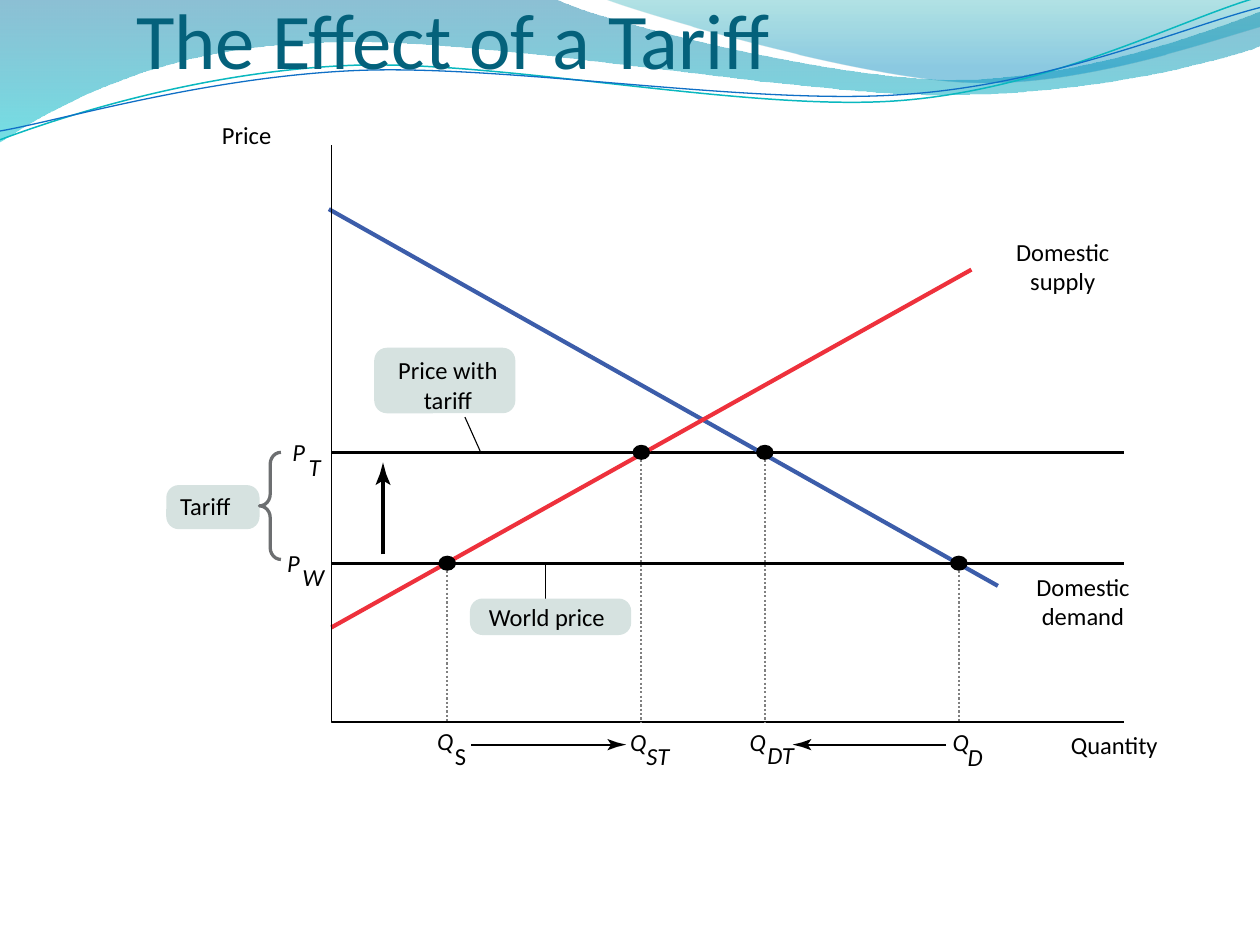
"""Builds a slide showing how a tariff changes price and quantity traded."""
import math

import pptx
import pptx.util
import pptx.dml.color
import pptx.enum.dml
import pptx.enum.shapes
import pptx.enum.text
from lxml import etree

Inches, Pt = pptx.util.Inches, pptx.util.Pt
SHAPE = pptx.enum.shapes.MSO_SHAPE
ALIGN = pptx.enum.text.PP_ALIGN
NS = "http://schemas.openxmlformats.org/drawingml/2006/main"

FONT = "Calibri"
COLORS = {"title": "04617B", "ink": "000000", "demand": "3C5DAA", "supply": "EE313C",
          "callout": "D6E2E0", "brace": "6D6F71", "guide": "808080",
          "teal wave": "0AB8BF", "blue wave": "0F6FC6", "deep blue": "0074A1",
          "cyan": "00C6CF", "teal": "00A1A9", "sky": "008BBF"}

TITLE = "The Effect of a Tariff"
BANDS = [
    ([(0, 0), (4.4, -0.01), (4.76, 0.17, 6.64, 0.63, 7.58, 0.63),
      (8.53, 0.63, 9.58, 0.26, 10, 0.09), (10.01, 0.36),
      (9.83, 0.44, 8.7, 0.76, 7.46, 0.75), (6.22, 0.75, 3.82, 0.28, 2.57, 0.34),
      (1.29, 0.36, 0.46, 0.83, -0.01, 1.13)],
     [(0, "deep blue", 45), (1, "cyan", 55)]),
    ([(4.79, -0.01), (5.09, 0.11, 6.82, 0.62, 7.69, 0.65),
      (8.56, 0.69, 9.61, 0.32, 10, 0.21), (10, 0)],
     [(0, "teal", 30), (0.8, "sky", 45)]),
]
WAVES = [
    ([(0, 1.11), (0.48, 0.93, 1.58, 0.57, 2.77, 0.52), (3.95, 0.47, 5.93, 0.89, 7.13, 0.8),
      (8.33, 0.71, 9.38, 0.15, 9.98, -0.02)], "teal wave", 0.85),
    ([(0, 1.04), (0.47, 0.96, 1.64, 0.61, 2.83, 0.56), (4.03, 0.51, 5.97, 0.84, 7.17, 0.75),
      (8.36, 0.67, 9.41, 0.21, 10, 0.06)], "blue wave", 0.75),
]

AXIS_X, AXIS_Y, AXIS_TOP, AXIS_END = 2.63, 5.73, 1.15, 8.92
TARIFF_Y, WORLD_Y = 3.59, 4.47
CURVES = [
    ((AXIS_X, TARIFF_Y), (AXIS_END, TARIFF_Y), "ink", 1.88),
    ((AXIS_X, WORLD_Y), (AXIS_END, WORLD_Y), "ink", 1.88),
    ((7.92, 4.65), (2.61, 1.66), "demand", 2.38),
    ((AXIS_X, 4.98), (7.71, 2.14), "supply", 2.38),
]
POINTS = [(7.61, WORLD_Y), (3.55, WORLD_Y), (6.07, TARIFF_Y), (5.09, TARIFF_Y)]
POINT_SIZE = (0.14, 0.12)
ARROWS = [
    ((3.74, 5.91), (4.97, 5.91), 1, 0.15, 0.09),
    ((7.51, 5.91), (6.29, 5.91), 1, 0.15, 0.09),
    ((3.04, 4.4), (3.04, 3.67), 2.38, 0.18, 0.12),
]
LEADERS = [((4.33, 4.78), (4.33, 4.47)), ((3.82, 3.6), (3.69, 3.31))]
CALLOUTS = [(3.73, 4.75, 1.28, 0.29), (1.32, 3.85, 0.74, 0.35), (2.97, 2.76, 1.12, 0.52)]
CENTRED_LABELS = [
    ("World price", 3.8, 4.78, 1.08, 0.24),
    ("Price with tariff", 3.13, 2.82, 0.85, 0.47),
    ("Price ", 1.33, 0.95, 1.3, 0.24),
    ("Quantity ", 7.84, 5.79, 2.05, 0.24),
    ("Domestic supply", 7.82, 1.88, 1.23, 0.47),
    ("Domestic demand", 7.95, 4.54, 1.29, 0.47),
]
SYMBOLS = [
    ("Tariff", 1.43, 3.9, 0.44, 0.19, False),
    ("P", 2.32, 3.47, 0.13, 0.24, True), ("T", 2.45, 3.59, 0.12, 0.24, True),
    ("P", 2.28, 4.35, 0.13, 0.24, True), ("W", 2.4, 4.46, 0.19, 0.24, True),
    ("Q", 3.47, 5.76, 0.15, 0.24, True), ("S", 3.61, 5.88, 0.13, 0.24, False),
    ("Q", 5.0, 5.77, 0.15, 0.24, True), ("ST", 5.13, 5.88, 0.25, 0.24, True),
    ("Q", 5.95, 5.77, 0.15, 0.24, True), ("DT", 6.09, 5.87, 0.22, 0.19, True),
    ("Q", 7.56, 5.77, 0.15, 0.24, True), ("D", 7.68, 5.89, 0.12, 0.19, True),
]

deck = pptx.Presentation()
deck.slide_width, deck.slide_height = Inches(10), Inches(7.5)
slide = deck.slides.add_slide(deck.slide_layouts[5])
shapes = slide.shapes


def rgb(name):
    return pptx.dml.color.RGBColor.from_string(COLORS[name])


def paint(shape, fill=None, line=None, width=1):
    shape.shadow.inherit = False
    if fill:
        shape.fill.solid()
        shape.fill.fore_color.rgb = rgb(fill)
    else:
        shape.fill.background()
    if line:
        shape.line.color.rgb = rgb(line)
        shape.line.width = Pt(width)
    else:
        shape.line.fill.background()


def outline(segments, close):
    """Draws pairs as straight segments and sextuples as Bezier segments."""
    corners = [(Inches(s[-2]), Inches(s[-1])) for s in segments]
    builder = shapes.build_freeform(*corners[0], scale=1.0)
    builder.add_line_segments(corners[1:], close=close)
    shape = builder.convert_to_shape()
    sides = list(shape.element.spPr.iter(f"{{{NS}}}lnTo"))
    for side, segment in zip(sides, segments[1:]):
        if len(segment) == 6:
            side.tag = f"{{{NS}}}cubicBezTo"
            for i in (0, 2):
                handle = etree.Element(f"{{{NS}}}pt")
                handle.set("x", str(Inches(segment[i]) - shape.left))
                handle.set("y", str(Inches(segment[i + 1]) - shape.top))
                side.insert(i // 2, handle)
    return shape


def connect(start, end, color, width, dash=None):
    line = shapes.add_connector(pptx.enum.shapes.MSO_CONNECTOR.STRAIGHT,
                                *[Inches(v) for v in (*start, *end)])
    line.line.color.rgb = rgb(color)
    line.line.width = Pt(width)
    if dash:
        line.line.dash_style = dash
    etree.SubElement(line.element.spPr, f"{{{NS}}}effectLst")


def arrow(start, tip, width, length, breadth):
    reach = math.dist(start, tip)
    ux, uy = (tip[0] - start[0]) / reach, (tip[1] - start[1]) / reach

    def behind(back, side=0):
        return tip[0] - back * ux - side * uy, tip[1] - back * uy + side * ux

    connect(start, behind(length * 0.75), "ink", width)
    head = [tip, behind(length * 0.5, breadth * 0.2), behind(length, breadth / 2),
            behind(length * 0.8), behind(length, -breadth / 2),
            behind(length * 0.5, -breadth * 0.2)]
    paint(outline(head, True), "ink")


def add_preset(kind, *box):
    return shapes.add_shape(kind, *[Inches(v) for v in box])


def label(text, left, top, width, height, italic=False, wrap=False):
    frame = shapes.add_textbox(*[Inches(v) for v in (left, top, width, height)]).text_frame
    frame.margin_left = frame.margin_right = frame.margin_top = frame.margin_bottom = 0
    frame.word_wrap = wrap
    frame.auto_size = pptx.enum.text.MSO_AUTO_SIZE.SHAPE_TO_FIT_TEXT
    frame.text = text
    frame.paragraphs[0].alignment = ALIGN.CENTER if wrap else ALIGN.LEFT
    font = frame.paragraphs[0].runs[0].font
    font.name, font.size, font.italic = FONT, Pt(14), italic
    font.color.rgb = rgb("ink")


for segments, stops in BANDS:
    band = outline(segments, True)
    paint(band)
    band.fill.gradient()
    band.fill.gradient_angle = 270
    for stop, (position, color, _) in zip(band.fill.gradient_stops, stops):
        stop.position = position
        stop.color.rgb = rgb(color)
    for tint, (_, _, opacity) in zip(band.element.spPr.iter(f"{{{NS}}}srgbClr"), stops):
        etree.SubElement(tint, f"{{{NS}}}alpha").set("val", str(opacity * 1000))
for segments, color, width in WAVES:
    paint(outline(segments, False), line=color, width=width)

heading = shapes.title
heading.element.getparent().append(heading.element)
heading.left, heading.top, heading.width, heading.height = map(Inches, (1.08, 0.07, 8.72, 0.61))
frame = heading.text_frame
frame.text = TITLE
frame.margin_left = frame.margin_right = frame.margin_bottom = 0
frame.margin_top = Inches(0.05)
frame.vertical_anchor = pptx.enum.text.MSO_ANCHOR.BOTTOM
frame.auto_size = pptx.enum.text.MSO_AUTO_SIZE.NONE
frame.paragraphs[0].alignment = ALIGN.LEFT
font = frame.paragraphs[0].runs[0].font
font.name, font.size = FONT, Pt(45)
font.color.rgb = rgb("title")

for curve in CURVES:
    connect(*curve)
axes = [(AXIS_END, AXIS_Y), (AXIS_X, AXIS_Y), (AXIS_X, AXIS_TOP)]
paint(outline(axes, False), line="ink", width=0.63)
for x, y in POINTS:
    width, height = POINT_SIZE
    paint(add_preset(SHAPE.OVAL, x - width / 2, y - height / 2, width, height), "ink")
for move in ARROWS:
    arrow(*move)
for start, end in LEADERS:
    connect(start, end, "ink", 0.63)
for box in CALLOUTS:
    callout = add_preset(SHAPE.ROUNDED_RECTANGLE, *box)
    callout.adjustments[0] = 0.1 / box[3]
    paint(callout, "callout")
brace = add_preset(SHAPE.LEFT_BRACE, 2.06, TARIFF_Y, 0.17, 0.85)
brace.adjustments[0] = 0.55
paint(brace, line="brace", width=1.88)
for text, *box in CENTRED_LABELS:
    label(text, *box, wrap=True)
for symbol in SYMBOLS:
    label(*symbol)
for x, y in POINTS:
    connect((x, y + 0.06), (x, AXIS_Y), "guide", 1.25, pptx.enum.dml.MSO_LINE.ROUND_DOT)

deck.save("out.pptx")
